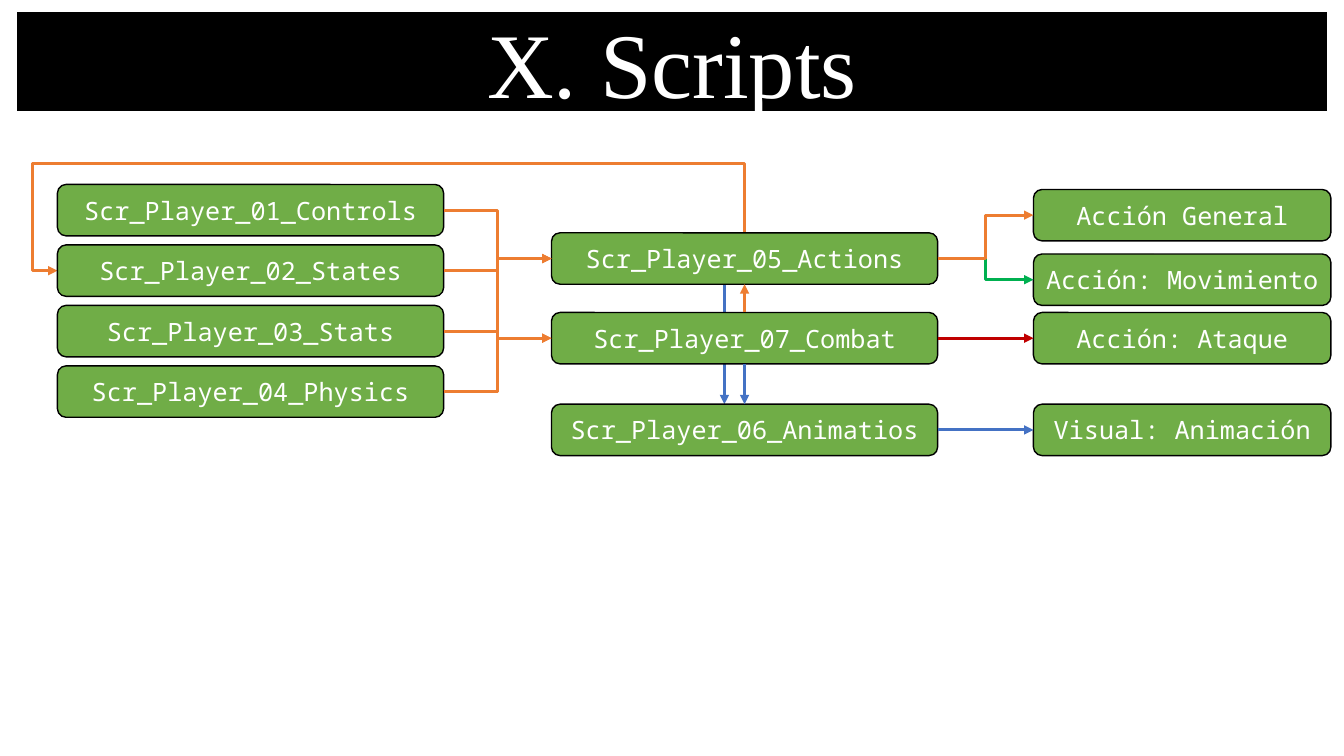
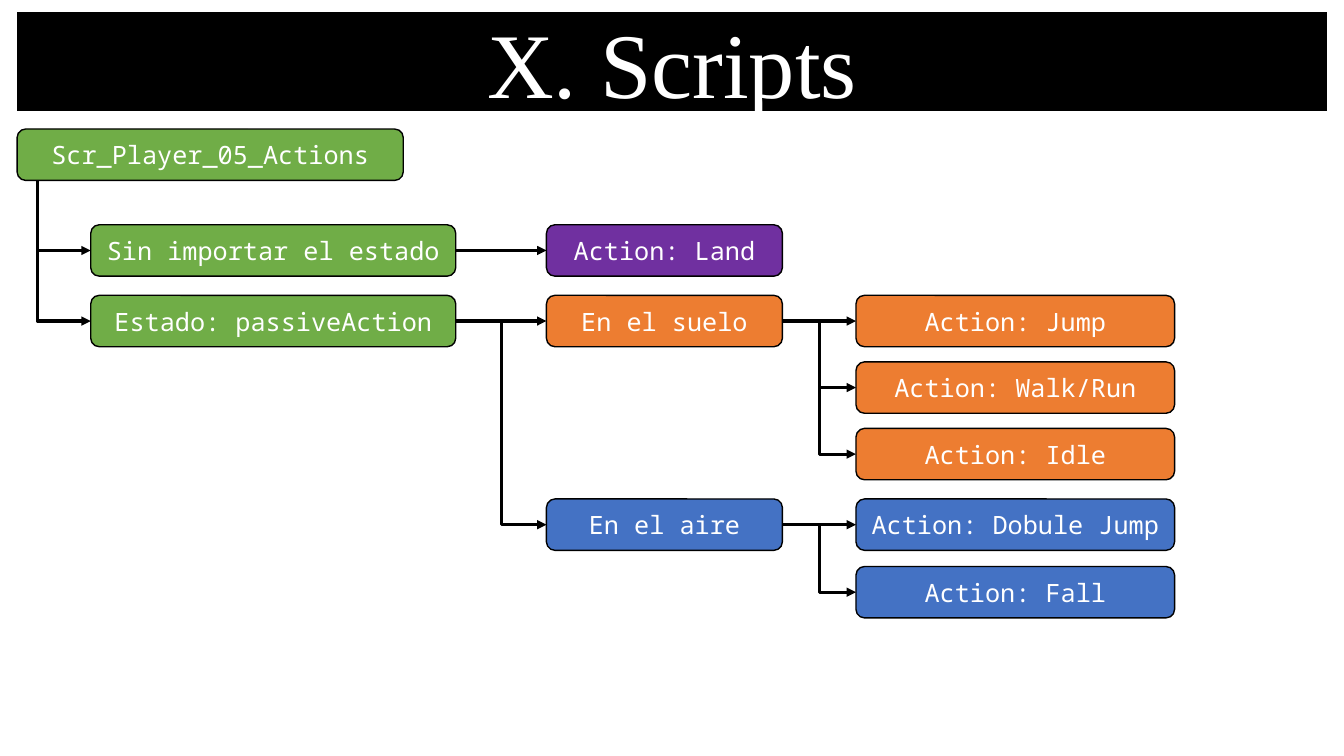
from lxml import etree
from pptx import Presentation
from pptx import util as u
from pptx.dml.color import RGBColor
from pptx.enum import shapes, text
from pptx.oxml import ns

BLACK = RGBColor(0x00, 0x00, 0x00)
WHITE = RGBColor(0xFF, 0xFF, 0xFF)
GREEN = RGBColor(0x70, 0xAD, 0x47)
DARK_GREEN = RGBColor(0x00, 0xB0, 0x50)
ORANGE = RGBColor(0xED, 0x7D, 0x31)
BLUE = RGBColor(0x44, 0x72, 0xC4)
RED = RGBColor(0xC0, 0x00, 0x00)
PURPLE = RGBColor(0x70, 0x30, 0xA0)

SLIDE_WIDTH, SLIDE_HEIGHT = 13.33, 7.5
TITLE_BOX = (0.17, 0.12, 12.99, 0.98)
TITLE_FONT, LABEL_FONT = "Times New Roman", "Noto Sans Mono"
NODE_HEIGHT = 0.51
TOP, LEFT, BOTTOM, RIGHT = range(4)


def write_centred(shape, words, font, size):
    frame = shape.text_frame
    frame.text = words
    frame.vertical_anchor = text.MSO_ANCHOR.MIDDLE
    frame.auto_size = text.MSO_AUTO_SIZE.NONE
    paragraph = frame.paragraphs[0]
    paragraph.alignment = text.PP_ALIGN.CENTER
    for run in paragraph.runs:
        run.font.name = font
        run.font.size = u.Pt(size)
        run.font.color.rgb = WHITE


def add_title_slide(presentation, words):
    slide = presentation.slides.add_slide(presentation.slide_layouts[5])
    title = slide.shapes.title
    title.left, title.top, title.width, title.height = map(u.Inches, TITLE_BOX)
    geometry = etree.SubElement(title.element.spPr, ns.qn("a:prstGeom"), prst="roundRect")
    etree.SubElement(geometry, ns.qn("a:avLst"))
    title.fill.solid()
    title.fill.fore_color.rgb = BLACK
    write_centred(title, words, TITLE_FONT, 66)
    return slide


def add_node(slide, left, top, width, label, fill):
    node = slide.shapes.add_shape(
        shapes.MSO_SHAPE.ROUNDED_RECTANGLE,
        *map(u.Inches, (left, top, width, NODE_HEIGHT)))
    node.shadow.inherit = False
    node.fill.solid()
    node.fill.fore_color.rgb = fill
    node.line.color.rgb = BLACK
    node.line.width = u.Pt(1)
    write_centred(node, label, LABEL_FONT, 18)
    return node


def add_column(slide, left, top, width, rows):
    return [add_node(slide, left, top + offset, width, label, fill)
            for offset, label, fill in rows]


def style_arrow(arrow, color):
    arrow.line.color.rgb = color
    arrow.line.width = u.Pt(2.25)
    etree.SubElement(arrow.line._get_or_add_ln(), ns.qn("a:tailEnd"), type="triangle")


def add_connector(slide, kind, start, end, color):
    connector = slide.shapes.add_connector(kind, *map(u.Inches, (*start, *end)))
    style_arrow(connector, color)
    etree.SubElement(connector.element.spPr, ns.qn("a:effectLst"))
    return connector


def link(slide, source, target, color, sides=(RIGHT, LEFT)):
    aligned = sides != (RIGHT, LEFT) or source.top == target.top
    kind = shapes.MSO_CONNECTOR.STRAIGHT if aligned else shapes.MSO_CONNECTOR.ELBOW
    connector = add_connector(slide, kind, (0, 0), (0, 0), color)
    connector.begin_connect(source, sides[0])
    connector.end_connect(target, sides[1])


def add_route(slide, points, color):
    start, *others = [tuple(map(u.Inches, point)) for point in points]
    builder = slide.shapes.build_freeform(*start)
    builder.add_line_segments(others, close=False)
    route = builder.convert_to_shape()
    route.shadow.inherit = False
    route.fill.background()
    style_arrow(route, color)


def draw_script_map(slide, left, top):
    script_width, result_width = 3.83, 2.95
    core_left, result_left = left + 4.9, left + 9.68
    actions_row, combat_row, animation_row = 0.48, 1.27, 2.18
    core_middle = core_left + script_width / 2

    add_connector(slide, shapes.MSO_CONNECTOR.STRAIGHT,
                  (core_middle - 0.2, top + actions_row + NODE_HEIGHT),
                  (core_middle - 0.2, top + animation_row), BLUE)
    states_middle = top + 0.6 + NODE_HEIGHT / 2
    add_route(slide, [(core_middle, top + actions_row), (core_middle, top - 0.21),
                      (left - 0.25, top - 0.21), (left - 0.25, states_middle),
                      (left, states_middle)], ORANGE)

    names = ("Controls", "States", "Stats", "Physics")
    controls, states, stats, physics = add_column(
        slide, left, top, script_width,
        [(0.6 * index, f"Scr_Player_{index + 1:02}_{name}", GREEN)
         for index, name in enumerate(names)])
    actions, combat, animations = add_column(slide, core_left, top, script_width, [
        (actions_row, "Scr_Player_05_Actions", GREEN),
        (combat_row, "Scr_Player_07_Combat", GREEN),
        (animation_row, "Scr_Player_06_Animatios", GREEN)])
    general, movement, attack, visual = add_column(slide, result_left, top, result_width, [
        (0.05, "Acción General", GREEN),
        (0.69, "Acción: Movimiento", GREEN),
        (combat_row, "Acción: Ataque", GREEN),
        (animation_row, "Visual: Animación", GREEN)])

    for source, target, color in (
            (controls, actions, ORANGE), (stats, combat, ORANGE),
            (physics, actions, ORANGE), (physics, combat, ORANGE),
            (states, actions, ORANGE), (actions, movement, DARK_GREEN),
            (actions, general, ORANGE), (combat, attack, RED),
            (animations, visual, BLUE)):
        link(slide, source, target, color)
    link(slide, combat, actions, ORANGE, (TOP, BOTTOM))
    link(slide, combat, animations, BLUE, (BOTTOM, TOP))


def draw_action_tree(slide, left, top):
    any_row, ground_row, air_row = 0.95, 1.65, 3.67
    state_left = left + 0.73
    add_node(slide, left, top, 3.83, "Scr_Player_05_Actions", GREEN)
    any_state, passive = add_column(slide, state_left, top, 3.62, [
        (any_row, "Sin importar el estado", GREEN),
        (ground_row, "Estado: passiveAction", GREEN)])
    land, ground, air = add_column(slide, left + 5.25, top, 2.34, [
        (any_row, "Action: Land", PURPLE),
        (ground_row, "En el suelo", ORANGE),
        (air_row, "En el aire", BLUE)])
    jump, walk, idle, double_jump, fall = add_column(slide, left + 8.32, top, 3.16, [
        (ground_row, "Action: Jump", ORANGE),
        (ground_row + 0.66, "Action: Walk/Run", ORANGE),
        (ground_row + 1.32, "Action: Idle", ORANGE),
        (air_row, "Action: Dobule Jump", BLUE),
        (air_row + 0.67, "Action: Fall", BLUE)])

    trunk = left + 0.2
    for row in (any_row, ground_row):
        middle = top + row + NODE_HEIGHT / 2
        add_route(slide, [(trunk, top + NODE_HEIGHT), (trunk, middle),
                          (state_left, middle)], BLACK)
    for source, targets in ((any_state, [land]), (passive, [ground, air]),
                            (ground, [jump, walk, idle]), (air, [double_jump, fall])):
        for target in targets:
            link(slide, source, target, BLACK)


def main():
    presentation = Presentation()
    presentation.slide_width = u.Inches(SLIDE_WIDTH)
    presentation.slide_height = u.Inches(SLIDE_HEIGHT)
    draw_script_map(add_title_slide(presentation, "X. Scripts"), 0.57, 1.83)
    draw_action_tree(add_title_slide(presentation, "X. Scripts"), 0.17, 1.28)
    presentation.save("out.pptx")


if __name__ == "__main__":
    main()
